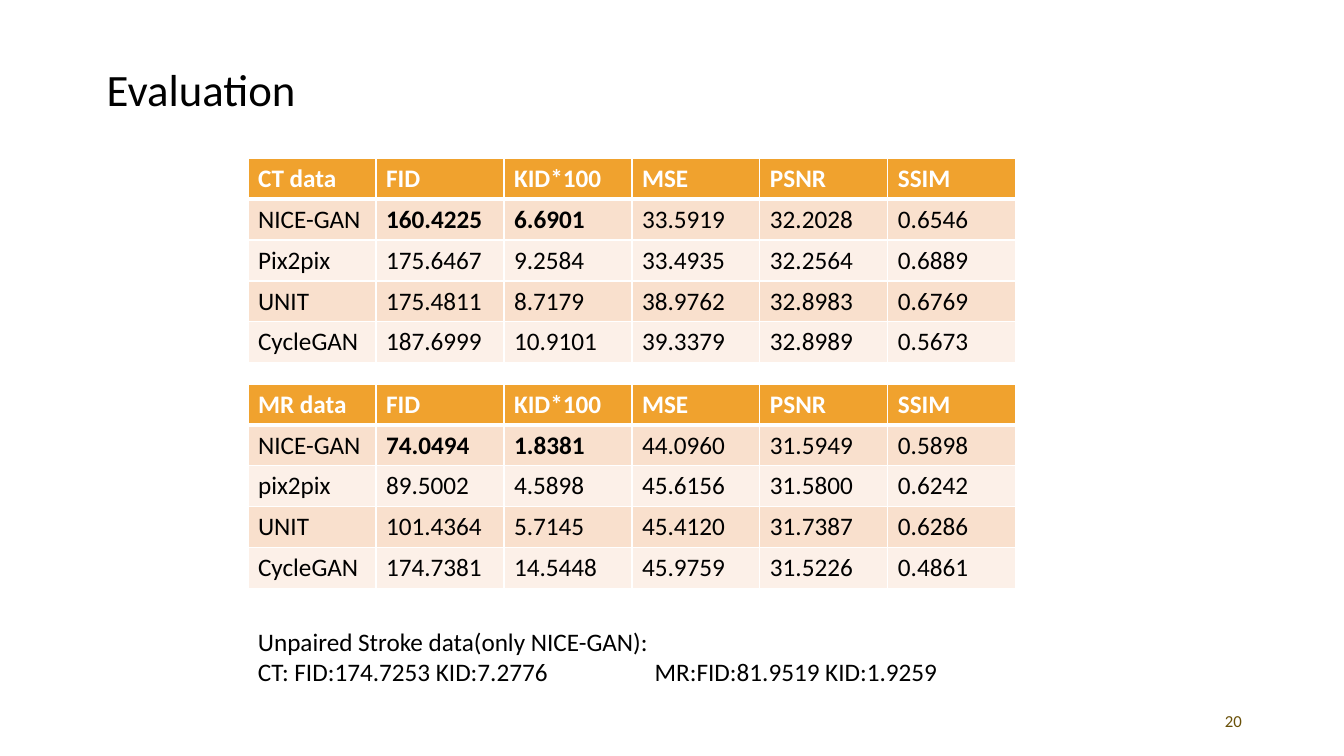
from dataclasses import dataclass

from lxml import etree
from pptx import Presentation
from pptx import util as u
from pptx.dml.color import RGBColor
from pptx.enum import text
from pptx.oxml import ns

FONT = "Calibri"
BLACK, WHITE, BROWN = "000000", "FFFFFF", "695008"
HEAD, BANDS = "F0A22E", ("F9E0CD", "FCF0E8")
LEFT, WIDE, ROW = 6.25, 19.35, 1.03
METRICS = ["FID", "KID*100", "MSE", "PSNR", "SSIM"]


@dataclass
class Label:
    lines: list[str]
    box: tuple[float, float, float, float]
    size: int
    hue: str = BLACK
    align: text.PP_ALIGN = text.PP_ALIGN.LEFT
    anchor: text.MSO_ANCHOR = text.MSO_ANCHOR.TOP
    tab: float = 0


@dataclass
class Scores:
    title: str
    top: float
    rows: list[str]


LABELS = [
    Label(["20"], (23.93, 17.65, 7.62, 1.02), 12, BROWN,
          text.PP_ALIGN.RIGHT, text.MSO_ANCHOR.MIDDLE),
    Label(["Evaluation"], (2.44, 1.42, 30.15, 1.63), 32),
    Label(["Unpaired Stroke data(only NICE-GAN):",
           "CT: FID:174.7253 KID:7.2776\tMR:FID:81.9519 KID:1.9259"],
          (LEFT, 15.65, WIDE, 1.8), 18, tab=10),
]

TABLES = [
    Scores("CT data", 3.99, [
        "NICE-GAN 160.4225 6.6901 33.5919 32.2028 0.6546",
        "Pix2pix 175.6467 9.2584 33.4935 32.2564 0.6889",
        "UNIT 175.4811 8.7179 38.9762 32.8983 0.6769",
        "CycleGAN 187.6999 10.9101 39.3379 32.8989 0.5673",
    ]),
    Scores("MR data", 9.75 - 0.07, [
        "NICE-GAN 74.0494 1.8381 44.0960 31.5949 0.5898",
        "pix2pix 89.5002 4.5898 45.6156 31.5800 0.6242",
        "UNIT 101.4364 5.7145 45.4120 31.7387 0.6286",
        "CycleGAN 174.7381 14.5448 45.9759 31.5226 0.4861",
    ]),
]


def color(code: str) -> RGBColor:
    return RGBColor.from_string(code)


def style(font, size: int, hue: str, bold: bool = False) -> None:
    form = {"name": FONT, "size": u.Pt(size), "bold": bold}
    for key, value in form.items():
        setattr(font, key, value)
    font.color.rgb = color(hue)


def add_label(slide, label: Label) -> None:
    frame = slide.shapes.add_textbox(*map(u.Cm, label.box)).text_frame
    form = {"word_wrap": True, "vertical_anchor": label.anchor}
    for key, value in form.items():
        setattr(frame, key, value)
    for i, line in enumerate(label.lines):
        para = frame.add_paragraph() if i else frame.paragraphs[0]
        para.alignment = label.align
        if "\t" in line:
            tabs = etree.SubElement(para._p.get_or_add_pPr(), ns.qn("a:tabLst"))
            etree.SubElement(tabs, ns.qn("a:tab"), pos=str(u.Cm(label.tab)), algn="l")
        run = para.add_run()
        run.text = line
        style(run.font, label.size, label.hue)


def add_edges(cell, row: int) -> None:
    """Draw white cell borders, thick between the header and the body."""
    props = cell._tc.get_or_add_tcPr()
    for side in "LRTB":
        thick = (row, side) in ((0, "B"), (1, "T"))
        edge = etree.SubElement(props, ns.qn(f"a:ln{side}"), w=str(u.Pt(3 if thick else 1)))
        fill = etree.SubElement(edge, ns.qn("a:solidFill"))
        etree.SubElement(fill, ns.qn("a:srgbClr"), val=WHITE)


def add_scores(slide, scores: Scores) -> None:
    cells = [[scores.title, *METRICS], *(row.split() for row in scores.rows)]
    count, cols = len(cells), len(cells[0])
    table = slide.shapes.add_table(count, cols, u.Cm(LEFT), u.Cm(scores.top),
                                   u.Cm(WIDE), u.Cm(ROW * count)).table
    for r, row in enumerate(cells):
        for c, word in enumerate(row):
            cell = table.cell(r, c)
            add_edges(cell, r)
            cell.fill.solid()
            cell.fill.fore_color.rgb = color(BANDS[(r - 1) % 2] if r else HEAD)
            run = cell.text_frame.paragraphs[0].add_run()
            run.text = word
            best = r == 1 and c in (1, 2)
            style(run.font, 18, BLACK if r else WHITE, r == 0 or best)


def main() -> None:
    deck = Presentation()
    deck.slide_width, deck.slide_height = u.Cm(33.87), u.Cm(19.05)
    slide = deck.slides.add_slide(deck.slide_layouts[6])
    for label in LABELS:
        add_label(slide, label)
    for scores in TABLES:
        add_scores(slide, scores)
    deck.save("out.pptx")


if __name__ == "__main__":
    main()
